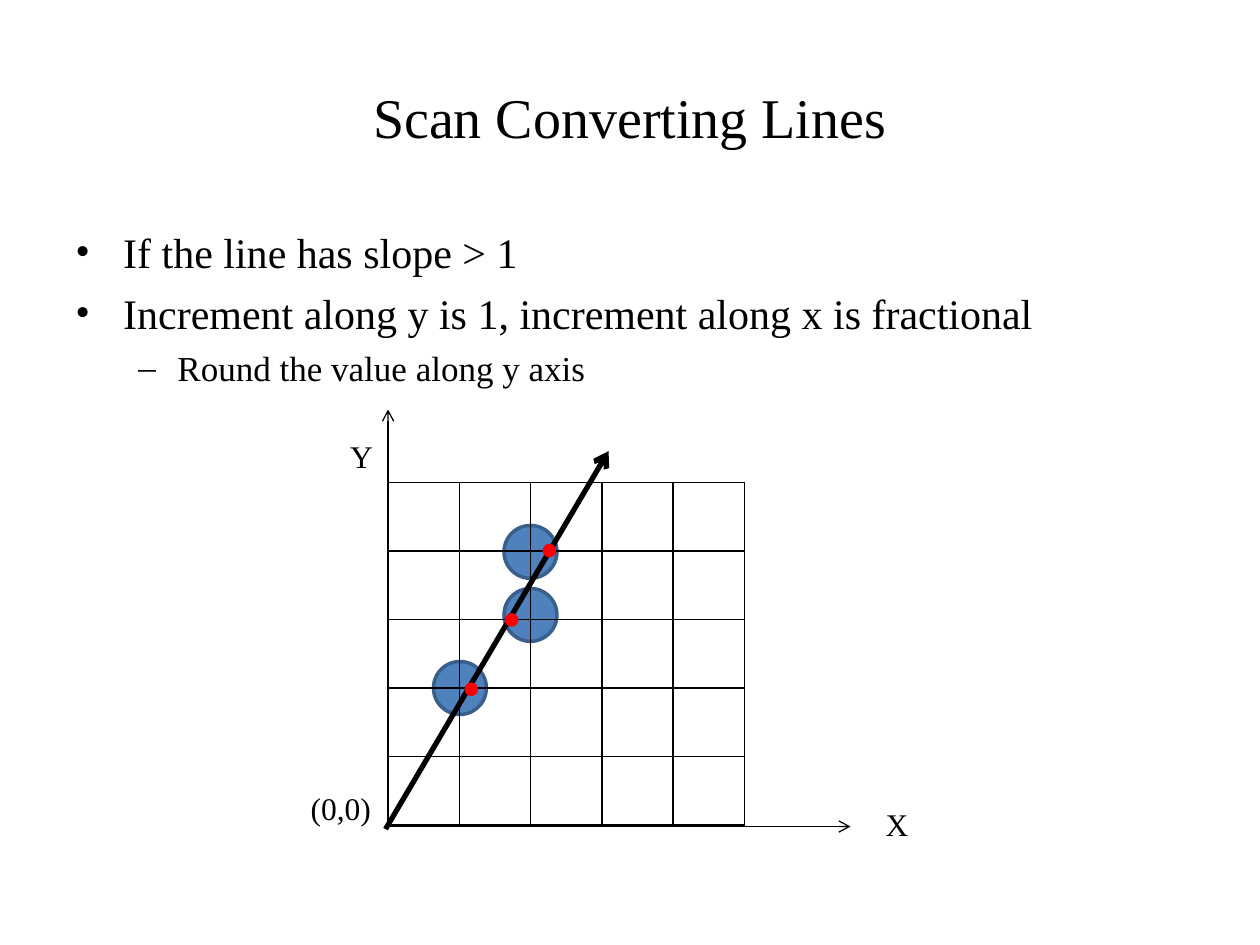
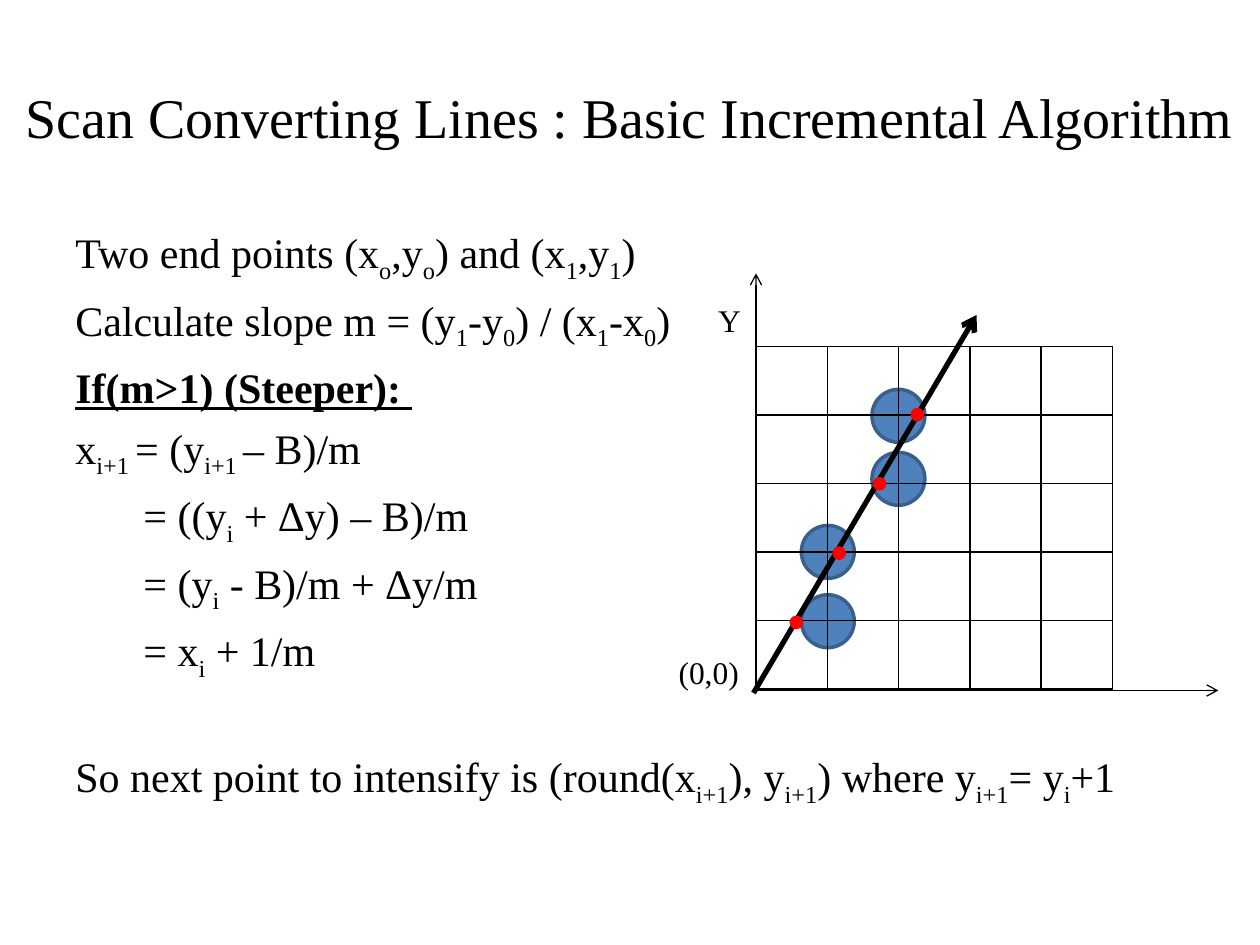
import pptx
import pptx.dml.color
import pptx.enum.shapes
import pptx.enum.text
import pptx.oxml.ns
import pptx.util
from lxml import etree

Inches, Pt = pptx.util.Inches, pptx.util.Pt
ALIGN = pptx.enum.text.PP_ALIGN
ANCHOR = pptx.enum.text.MSO_ANCHOR

FONT = "Times New Roman"
BLACK, PIXEL_FILL, PIXEL_EDGE, RED = "000000", "4F81BD", "3A5F8C", "FF0000"
CELLS = 5
GRID_WIDTH, GRID_HEIGHT = 2.83, 2.72
PIXEL_SIZE, POINT_SIZE = 0.42, 0.08

# Paragraph styles: text size, left margin, first-line indent, bullet, space before
STYLES = {
    "bullet": dict(size=24, margin=0.38, indent=-0.38, bullet="•", before=5.8),
    "dash": dict(size=20, margin=0.81, indent=-0.31, bullet="–", before=5),
    "plain": dict(size=24, margin=0.38, indent=-0.38, bullet=None, before=5.8),
    "step": dict(size=24, margin=0.54, indent=0, bullet=None, before=5.8),
    "closing": dict(size=24, margin=0.38, indent=-0.38, bullet=None, before=39.2),
}


def color(value):
    return pptx.dml.color.RGBColor.from_string(value)


def add_xml(parent, tag, **attributes):
    return etree.SubElement(parent, pptx.oxml.ns.qn(tag), attributes)


def set_font(font, **values):
    for name, value in {"name": FONT, **values}.items():
        setattr(font, name, value)
    font.color.rgb = color(BLACK)


def add_text_box(page, left, top, width, height, anchor):
    box = page.shapes.add_textbox(Inches(left), Inches(top), Inches(width), Inches(height))
    box.text_frame.word_wrap = True
    box.text_frame.vertical_anchor = anchor
    return box.text_frame


def add_centered(page, text, left, top, width, height, size):
    para = add_text_box(page, left, top, width, height, ANCHOR.MIDDLE).paragraphs[0]
    para.alignment = ALIGN.CENTER
    span = para.add_run()
    span.text = text
    set_font(span.font, size=Pt(size))


def add_title(page, text, left=0.5, width=9):
    add_centered(page, text, left, 0.3, width, 1.25, 32)


def add_body(page, lines):
    """Each line is (style, text, font values); [brackets] hold subscripts."""
    frame = add_text_box(page, 0.5, 1.75, 9, 4.95, ANCHOR.TOP)
    for number, (style_name, text, values) in enumerate(lines):
        style = STYLES[style_name]
        para = frame.add_paragraph() if number else frame.paragraphs[0]
        para.space_before = Pt(style["before"] if number else 0)
        properties = para._p.get_or_add_pPr()
        properties.set("marL", str(Inches(style["margin"])))
        properties.set("indent", str(Inches(style["indent"])))
        if style["bullet"]:
            add_xml(properties, "a:buFont", typeface=FONT)
            add_xml(properties, "a:buChar", char=style["bullet"])
        else:
            add_xml(properties, "a:buNone")
        for position, part in enumerate(text.replace("]", "[").split("[")):
            if not part:
                continue
            span = para.add_run()
            span.text = part
            set_font(span.font, size=Pt(style["size"]), **values)
            if position % 2:
                span._r.get_or_add_rPr().set("baseline", "-25000")


def add_circle(page, left, top, size, fill, edge):
    circle = page.shapes.add_shape(pptx.enum.shapes.MSO_SHAPE.OVAL,
                                   Inches(left), Inches(top), Inches(size), Inches(size))
    circle.shadow.inherit = False
    circle.fill.solid()
    circle.fill.fore_color.rgb = color(fill)
    circle.line.color.rgb = color(edge)
    circle.line.width = Pt(2)


def add_arrow(page, start, end, width):
    arrow = page.shapes.add_connector(pptx.enum.shapes.MSO_CONNECTOR.STRAIGHT,
                                      *map(Inches, (*start, *end)))
    arrow.line.color.rgb = color(BLACK)
    arrow.line.width = Pt(width)
    add_xml(arrow.line._get_or_add_ln(), "a:tailEnd", type="arrow")
    add_xml(arrow._element.spPr, "a:effectLst")


def add_grid(page, left, top):
    table = page.shapes.add_table(CELLS, CELLS, Inches(left), Inches(top),
                                  Inches(GRID_WIDTH), Inches(GRID_HEIGHT)).table
    table.first_row = table.horz_banding = False
    for column in table.columns:
        column.width = Inches(GRID_WIDTH / CELLS)
    for row in table.rows:
        row.height = Inches(GRID_HEIGHT / CELLS)
    for cell in table.iter_cells():
        properties = cell._tc.get_or_add_tcPr()
        for side in ("a:lnL", "a:lnR", "a:lnT", "a:lnB"):
            border = add_xml(properties, side, w=str(Pt(1)))
            add_xml(add_xml(border, "a:solidFill"), "a:srgbClr", val=BLACK)
        cell.fill.background()


def add_plot(page, left, top, pixels, points, labels):
    """Place the plot relative to the top left corner of its grid."""
    def at(x, y):
        return left + x, top + y

    # Chosen pixels lie behind the grid
    for pixel in pixels:
        add_circle(page, *at(*pixel), PIXEL_SIZE, PIXEL_FILL, PIXEL_EDGE)
    add_grid(page, left, top)

    # Axes and their labels
    add_arrow(page, at(0, 2.73), at(3.67, 2.73), 0.75)
    add_arrow(page, at(0, 2.75), at(0, -0.58), 0.75)
    for text, x, y, width, height in labels:
        add_centered(page, text, *at(x, y), width, height, 18)

    # Steep line and the exact points on it
    add_arrow(page, at(-0.02, 2.75), at(1.75, -0.25), 3)
    for point in points:
        add_circle(page, *at(*point), POINT_SIZE, RED, RED)


PIXELS = [(0.36, 1.42), (0.92, 0.84), (0.92, 0.34)]
POINTS = [(0.62, 1.6), (0.94, 1.05), (1.24, 0.5)]
LABELS = [("Y", -0.5, -0.5, 0.58, 0.58), ("(0,0)", -0.75, 2.42, 0.75, 0.33)]


def build_slope_slide(page):
    add_title(page, "Scan Converting Lines")
    add_body(page, [
        ("bullet", "If the line has slope > 1", {}),
        ("bullet", "Increment along y is 1, increment along x is fractional", {}),
        ("dash", "Round the value along y axis", {}),
    ])
    add_plot(page, 3.08, 3.83, PIXELS, POINTS,
             LABELS + [("X", 3.75, 2.42, 0.58, 0.58)])


def build_algorithm_slide(page):
    add_title(page, "Scan Converting Lines : Basic Incremental Algorithm", left=0, width=10)
    add_body(page, [
        ("plain", "Two end points (x[o],y[o]) and (x[1],y[1])", {}),
        ("plain", "Calculate slope m = (y[1]-y[0]) / (x[1]-x[0])", {}),
        ("plain", "If(m>1) (Steeper): ", dict(bold=True, underline=True)),
        ("plain", "x[i+1 ]= (y[i+1 ]– B)/m", {}),
        ("step", "= ((y[i] + Δy) – B)/m", {}),
        ("step", "= (y[i] - B)/m + Δy/m", {}),
        ("step", "= x[i] + 1/m", {}),
        ("closing", "So next point to intensify is (round(x[i+1]), y[i+1]) where y[i+1]= y[i]+1", {}),
    ])
    add_plot(page, 6, 2.75, PIXELS + [(0.36, 1.97)], POINTS + [(0.28, 2.15)], LABELS)


def main():
    deck = pptx.Presentation()
    deck.slide_width, deck.slide_height = Inches(10), Inches(7.5)
    for build in (build_slope_slide, build_algorithm_slide):
        build(deck.slides.add_slide(deck.slide_layouts[6]))
    deck.save("out.pptx")


if __name__ == "__main__":
    main()
